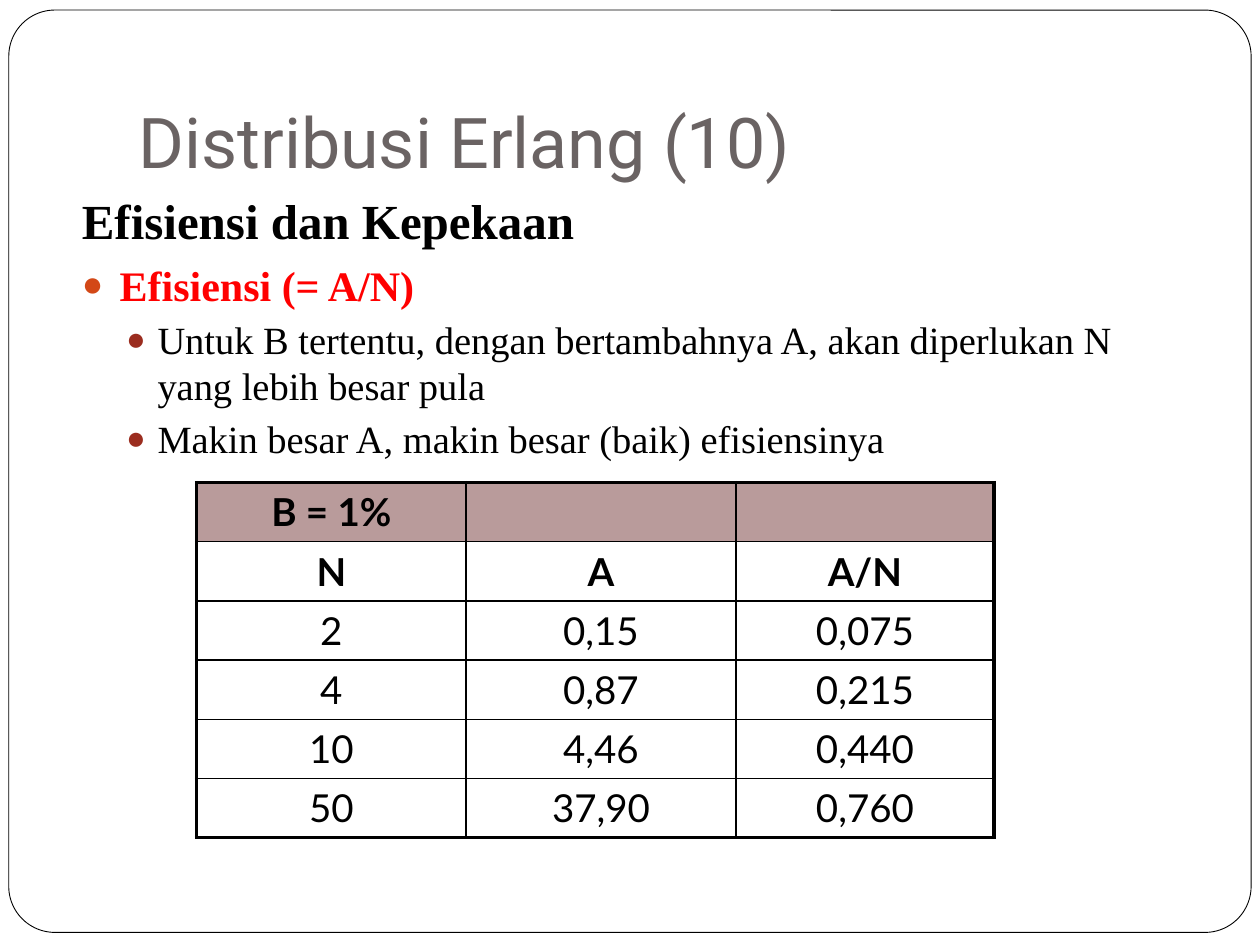
import pptx
import pptx.dml.color
import pptx.enum.shapes
import pptx.enum.text
import pptx.oxml
import pptx.oxml.ns
import pptx.util
from lxml import etree

Inches, Pt = pptx.util.Inches, pptx.util.Pt
Align = pptx.enum.text.PP_ALIGN
Anchor = pptx.enum.text.MSO_ANCHOR


def color(value):
    return pptx.dml.color.RGBColor.from_string(value)


def add_xml(parent, tag, **attributes):
    return etree.SubElement(parent, pptx.oxml.ns.qn(tag), attributes)


def write(paragraph, text, font, size, ink="000000", bold=False,
          align=Align.LEFT, before=0):
    paragraph.alignment = align
    paragraph.space_before = Pt(before)
    run = paragraph.add_run()
    run.text = text
    run.font.name = font
    run.font.size = Pt(size)
    run.font.bold = bold
    run.font.color.rgb = color(ink)


class ErlangSlide:
    heading_font, body_font, table_font = "Roboto", "Times New Roman", "Lato"
    heading_ink, line_ink, header_fill = "6A6363", "000000", "B99B9B"
    outer_line, inner_line = 2.25, 1

    def __init__(self, presentation):
        self.slide = presentation.slides.add_slide(presentation.slide_layouts[1])

    def frame(self, left, top, width, height):
        border = self.slide.shapes.add_shape(
            pptx.enum.shapes.MSO_SHAPE.ROUNDED_RECTANGLE,
            Inches(left), Inches(top), Inches(width), Inches(height))
        border.adjustments[0] = 0.05
        border.shadow.inherit = False
        border.fill.solid()
        border.fill.fore_color.rgb = color("FFFFFF")
        border.line.color.rgb = color(self.line_ink)
        border.line.width = Pt(0.5)
        # Send behind the placeholders
        self.slide.shapes._spTree.insert(2, border._element)

    def place(self, holder, left, top, width, height, anchor):
        holder.left, holder.top = Inches(left), Inches(top)
        holder.width, holder.height = Inches(width), Inches(height)
        holder.text_frame.word_wrap = True
        holder.text_frame.auto_size = pptx.enum.text.MSO_AUTO_SIZE.NONE
        holder.text_frame.vertical_anchor = anchor
        return holder.text_frame

    def title(self, text, *box):
        heading = self.place(self.slide.shapes.title, *box, Anchor.BOTTOM)
        heading.margin_bottom = Inches(0.1)
        write(heading.paragraphs[0], text, self.heading_font, 40, self.heading_ink)

    def body(self, points, *box):
        outline = self.place(self.slide.placeholders[1], *box, Anchor.TOP)
        outline.margin_top = Inches(0.1)
        for index, (text, level, bullet_ink, style) in enumerate(points):
            point = outline.paragraphs[0] if index == 0 else outline.add_paragraph()
            point.level = level
            self.bullet(point, level, bullet_ink)
            before = (5.8, 3.7)[level] if index else 0
            write(point, text, self.body_font, before=before, **style)

    def bullet(self, point, level, ink):
        properties = point._p.get_or_add_pPr()
        margin, indent = ((0.3, -0.3), (0.6, -0.25))[level]
        properties.set("marL", str(Inches(margin)))
        properties.set("indent", str(Inches(indent)))
        if ink is None:
            add_xml(properties, "a:buNone")
            return
        add_xml(add_xml(properties, "a:buClr"), "a:srgbClr", val=ink)
        add_xml(properties, "a:buSzPct", val="85000")
        add_xml(properties, "a:buChar", char="●")

    def table(self, rows, left, top, widths, row_height):
        grid = self.slide.shapes.add_table(
            len(rows), len(widths), Inches(left), Inches(top),
            Inches(sum(widths)), Inches(row_height * len(rows))).table
        grid.first_row = grid.horz_banding = False
        for column, width in zip(grid.columns, widths):
            column.width = Inches(width)
        last_row, last_column = len(rows) - 1, len(widths) - 1
        for r, values in enumerate(rows):
            grid.rows[r].height = Inches(row_height)
            for c, value in enumerate(values):
                cell = grid.cell(r, c)
                self.cell_borders(cell, L=c == 0, R=c == last_column,
                                  T=r == 0, B=r == last_row)
                if r == 0:
                    cell.fill.solid()
                    cell.fill.fore_color.rgb = color(self.header_fill)
                else:
                    cell.fill.background()
                if value:
                    write(cell.text_frame.paragraphs[0], value, self.table_font,
                          22, bold=r < 2, align=Align.CENTER)

    def cell_borders(self, cell, **outer_sides):
        properties = cell._tc.get_or_add_tcPr()
        for side, is_outer in outer_sides.items():
            width = Pt(self.outer_line if is_outer else self.inner_line)
            line = add_xml(properties, "a:ln" + side, w=str(width))
            add_xml(add_xml(line, "a:solidFill"), "a:srgbClr", val=self.line_ink)


def main():
    presentation = pptx.Presentation()
    presentation.slide_width, presentation.slide_height = Inches(10), Inches(7.5)
    page = ErlangSlide(presentation)

    # Page frame and title
    page.frame(0.07, 0.08, 9.86, 7.32)
    page.title("Distribusi Erlang (10)", 1, 0.3, 8.5, 1.25)

    # Efficiency points: text, level, bullet colour, format
    detail = dict(size=22)
    page.body([
        ("Efisiensi dan Kepekaan", 0, None, dict(size=28, bold=True)),
        ("Efisiensi (= A/N)", 0, "D34817", dict(size=24, bold=True, ink="FF0000")),
        ("Untuk B tertentu, dengan bertambahnya A, akan diperlukan N "
         "yang lebih besar pula", 1, "9B2D1F", detail),
        ("Makin besar A, makin besar (baik) efisiensinya", 1, "9B2D1F", detail),
    ], 0.55, 1.41, 9, 4.95)

    # Efficiency table
    page.table([
        ("B = 1%", "", ""),
        ("N", "A", "A/N"),
        ("2", "0,15", "0,075"),
        ("4", "0,87", "0,215"),
        ("10", "4,46", "0,440"),
        ("50", "37,90", "0,760"),
    ], 1.56, 3.83, (2.14, 2.14, 2.05), 0.47)

    presentation.save("out.pptx")


if __name__ == "__main__":
    main()
